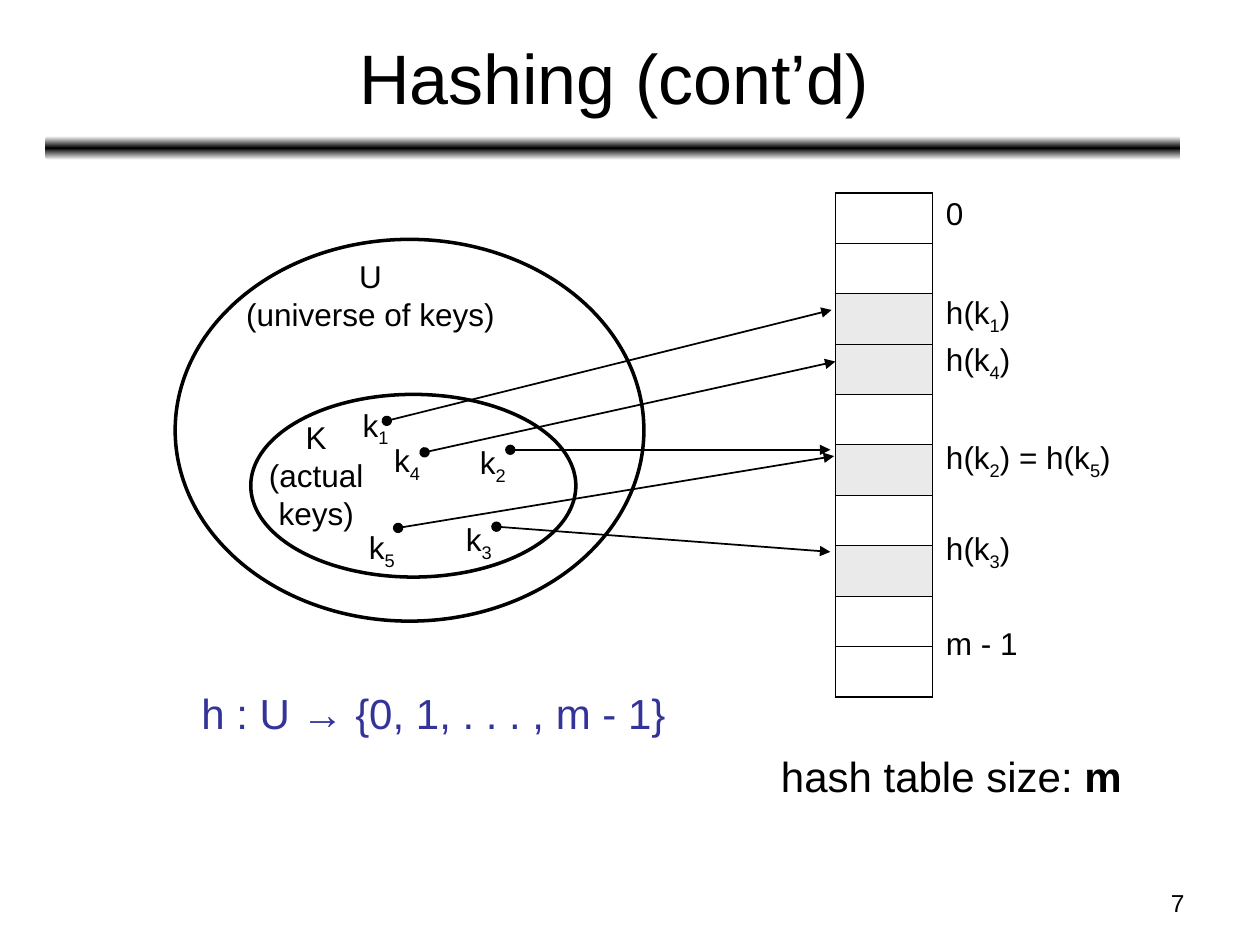
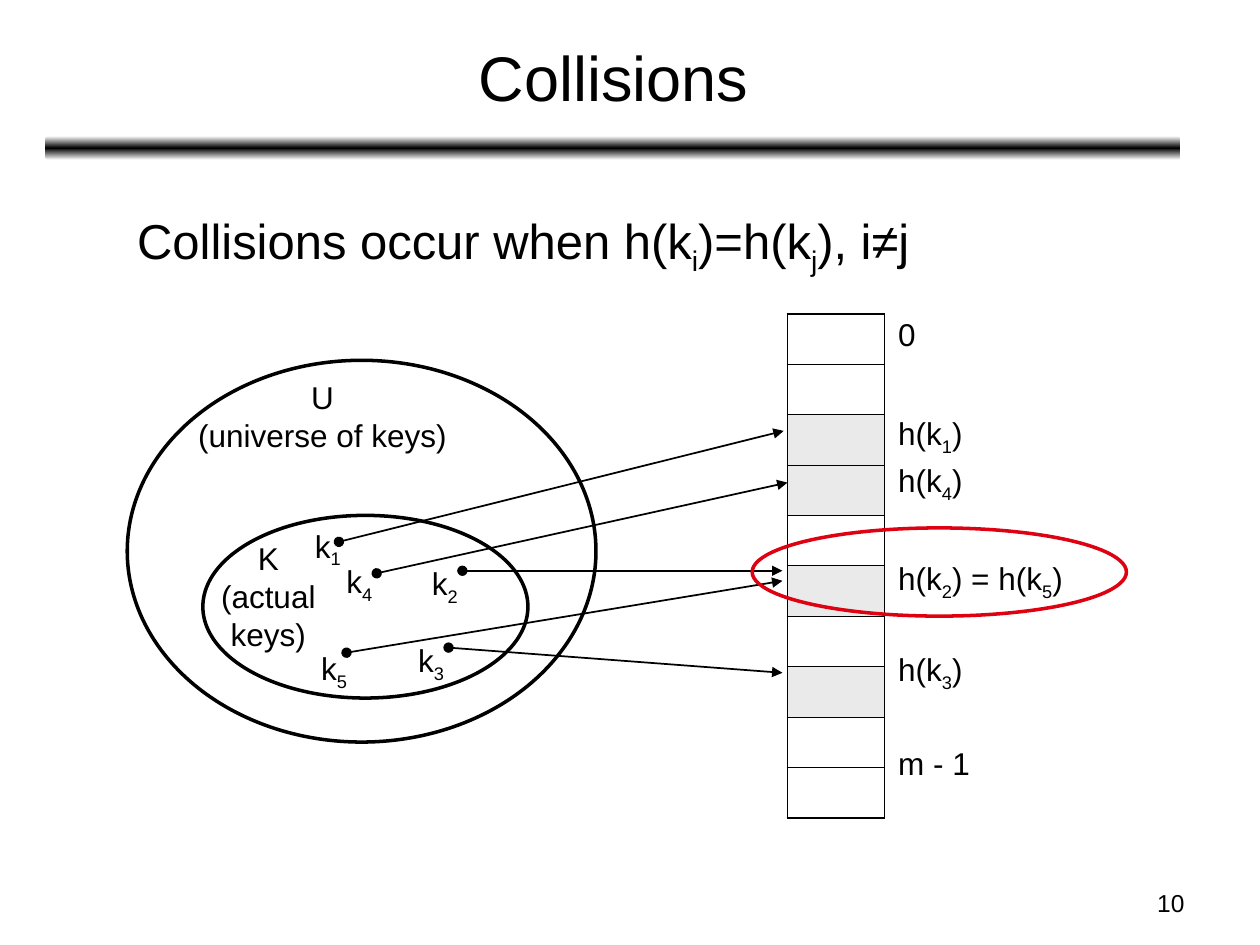
from dataclasses import dataclass
from copy import deepcopy

from pptx import Presentation
from pptx.dml.color import RGBColor as RGB
from pptx.enum.shapes import MSO_CONNECTOR as CONNECTOR, MSO_SHAPE as SHAPE
from pptx.enum.text import MSO_ANCHOR as ANCHOR, MSO_AUTO_SIZE as AUTO_SIZE, PP_ALIGN as ALIGN
from pptx.oxml.ns import qn
from pptx.util import Inches, Pt
from lxml.etree import SubElement


@dataclass(frozen=True)
class Theme:
    font: str = "Arial"
    ink: RGB = RGB(0, 0, 0)
    paper: RGB = RGB(0xFF, 0xFF, 0xFF)
    used_slot: RGB = RGB(0xEA, 0xEA, 0xEA)
    formula: RGB = RGB(0x33, 0x33, 0x99)
    highlight: RGB = RGB(0xDD, 0x01, 0x11)
    label_size: int = 18
    note_size: int = 24
    statement_size: int = 28
    number_size: int = 14
    subscript: str = "-25000"
    set_line: float = 2
    arrow_line: float = 1
    outer_border: float = 1.08
    inner_border: float = 0.45


THEME = Theme()


def write(frame, text, size=THEME.label_size, color=THEME.ink, align=ALIGN.LEFT):
    """Fill a text frame; every second part between bars is a subscript."""
    for number, line in enumerate(text.split("\n")):
        paragraph = frame.add_paragraph() if number else frame.paragraphs[0]
        paragraph.alignment = align
        for part_number, part in enumerate(line.split("|")):
            run = paragraph.add_run()
            run.text = part
            for name, value in {"name": THEME.font, "size": Pt(size)}.items():
                setattr(run.font, name, value)
            run.font.color.rgb = color
            if part_number % 2:
                run.font._element.set("baseline", THEME.subscript)
    return frame.paragraphs[-1]


def add_text(slide, box, text, **style):
    frame = slide.shapes.add_textbox(*map(Inches, box)).text_frame
    frame.word_wrap = True
    frame.auto_size = AUTO_SIZE.NONE
    return write(frame, text, **style)


# Places in the diagram are those of the first slide; the second shifts them.
KEY_SETS = [(1.39, 1.9, 3.72, 3.03), (1.99, 3.13, 2.58, 1.45)]
SET_LABELS = [
    ((1.74, 1.99, 2.4, 0.7), "U\n(universe of keys)"),
    ((1.96, 3.27, 1.1, 1), "K\n(actual\nkeys)"),
]
TABLE_LEFT, TABLE_TOP, SLOT_WIDTH, SLOT_HEIGHT = 6.63, 1.53, 0.77, 0.4
SLOT_COUNT = 10
USED_SLOTS = {2, 3, 5, 7}
SLOT_LABEL_LEFT, SLOT_LABEL_WIDTH = 7.41, 1.8
SLOT_LABELS = [
    (1.49, "0"),
    (2.28, "h(k|1|)"),
    (2.65, "h(k|4|)"),
    (3.43, "h(k|2|) = h(k|5|)"),
    (4.15, "h(k|3|)"),
    (4.9, "m - 1"),
]
# key, label corner, arrow start, arrow end
KEYS = [
    ("k|1", (2.78, 3.17), (3.07, 3.34), (6.6, 2.46)),
    ("k|4", (3.03, 3.45), (3.37, 3.59), (6.63, 2.87)),
    ("k|2", (3.71, 3.47), (4.05, 3.57), (6.59, 3.57)),
    ("k|5", (2.83, 4.14), (3.16, 4.19), (6.62, 3.62)),
    ("k|3", (3.6, 4.08), (3.94, 4.18), (6.59, 4.38)),
]
# title, title size, slide number, diagram shift, extra shift of single arrows
PAGES = [
    ("Hashing (cont’d)", 40, "7", (0, 0), {}),
    ("Collisions", 36, "10", (-0.38, 0.96), {"k|5": (-0.03, 0.03)}),
]

prs = Presentation()
prs.slide_width, prs.slide_height = Inches(10), Inches(7.5)
layout = prs.slide_layouts[5]
slides = [prs.slides.add_slide(layout) for page in PAGES]

# The shared band is drawn once and moved to the layout.
band = slides[0].shapes.add_shape(
    SHAPE.ROUNDED_RECTANGLE, *map(Inches, (0.36, 1.08, 9.01, 0.19)))
band.shadow.inherit = False
band.line.fill.background()
band.fill.gradient()
band.fill.gradient_angle = 90
stop_list = band._element.spPr.find(".//" + qn("a:gsLst"))
stop_list.append(deepcopy(stop_list[0]))
for stop, position, color in zip(band.fill.gradient_stops, (0, 0.5, 1),
                                 (THEME.paper, THEME.ink, THEME.paper)):
    stop.position = position
    stop.color.rgb = color
band._element.nvSpPr.cNvPr.set("id", "20")
layout.shapes._spTree.append(band._element)

for slide, (title, title_size, number, (dx, dy), arrow_shifts) in zip(slides, PAGES):
    heading = slide.shapes.title
    for name, value in {"left": 0.37, "top": 0.11, "width": 9, "height": 0.99}.items():
        setattr(heading, name, Inches(value))
    heading.text_frame.vertical_anchor = ANCHOR.MIDDLE
    heading.text_frame.auto_size = AUTO_SIZE.NONE
    write(heading.text_frame, title, size=title_size, align=ALIGN.CENTER)
    add_text(slide, (7.17, 7, 2.33, 0.35), number,
             size=THEME.number_size, align=ALIGN.RIGHT)

    for left, top, width, height in KEY_SETS:
        key_set = slide.shapes.add_shape(
            SHAPE.OVAL, *map(Inches, (left + dx, top + dy, width, height)))
        key_set.shadow.inherit = False
        key_set.fill.background()
        key_set.line.color.rgb = THEME.ink
        key_set.line.width = Pt(THEME.set_line)
    for (left, top, width, height), text in SET_LABELS:
        add_text(slide, (left + dx, top + dy, width, height), text, align=ALIGN.CENTER)

    hash_table = slide.shapes.add_table(
        SLOT_COUNT, 1, *map(Inches, (TABLE_LEFT + dx, TABLE_TOP + dy, SLOT_WIDTH,
                                     SLOT_HEIGHT * SLOT_COUNT))).table
    hash_table.first_row = hash_table.horz_banding = False
    for index, row in enumerate(hash_table.rows):
        row.height = Inches(SLOT_HEIGHT)
        slot = row.cells[0]
        slot.margin_top = slot.margin_bottom = 0
        borders = {
            "a:lnL": THEME.outer_border,
            "a:lnR": THEME.outer_border,
            "a:lnT": THEME.inner_border if index else THEME.outer_border,
            "a:lnB": THEME.inner_border if index < SLOT_COUNT - 1 else THEME.outer_border,
        }
        for side, width in borders.items():
            border = SubElement(slot._tc.get_or_add_tcPr(), qn(side), w=str(Pt(width)))
            SubElement(SubElement(border, qn("a:solidFill")), qn("a:srgbClr"),
                       val=str(THEME.ink))
        if index in USED_SLOTS:
            slot.fill.solid()
            slot.fill.fore_color.rgb = THEME.used_slot
        else:
            slot.fill.background()
    for top, text in SLOT_LABELS:
        add_text(slide, (SLOT_LABEL_LEFT + dx, top + dy, SLOT_LABEL_WIDTH, 0.44), text)

    for key, (left, top), (x1, y1), (x2, y2) in KEYS:
        extra_x, extra_y = arrow_shifts.get(key, (0, 0))
        ax, ay = dx + extra_x, dy + extra_y
        arrow = slide.shapes.add_connector(
            CONNECTOR.STRAIGHT, *map(Inches, (x1 + ax, y1 + ay, x2 + ax, y2 + ay)))
        arrow.line.color.rgb = THEME.ink
        arrow.line.width = Pt(THEME.arrow_line)
        for end, style in {"a:headEnd": "oval", "a:tailEnd": "triangle"}.items():
            SubElement(arrow.line._get_or_add_ln(), qn(end), type=style)
        SubElement(arrow._element.spPr, qn("a:effectLst"))
        add_text(slide, (left + dx, top + dy, 0.6, 0.44), key)

hashing, collisions = slides

mapping = add_text(hashing, (1.5, 5.29, 4.3, 0.62), "h : U → {0, 1, . . . , m - 1}",
                   size=THEME.note_size, color=THEME.formula)
mapping.line_spacing = 1.3
table_size = add_text(hashing, (6.1, 5.91, 3.3, 0.5), "hash table size: ",
                      size=THEME.note_size)
size_symbol = table_size.add_run()
size_symbol.text = "m"
for name, value in {"name": THEME.font, "size": Pt(THEME.note_size), "bold": True}.items():
    setattr(size_symbol.font, name, value)
size_symbol.font.color.rgb = THEME.ink

add_text(collisions, (0.99, 1.62, 6.8, 0.63),
         "Collisions occur when h(k|i|)=h(k|j|), i≠j", size=THEME.statement_size)
collision_ring = collisions.shapes.add_shape(
    SHAPE.OVAL, *map(Inches, (5.97, 4.19, 2.97, 0.7)))
collision_ring.shadow.inherit = False
collision_ring.fill.background()
collision_ring.line.color.rgb = THEME.highlight
collision_ring.line.width = Pt(THEME.set_line)

prs.save("out.pptx")
